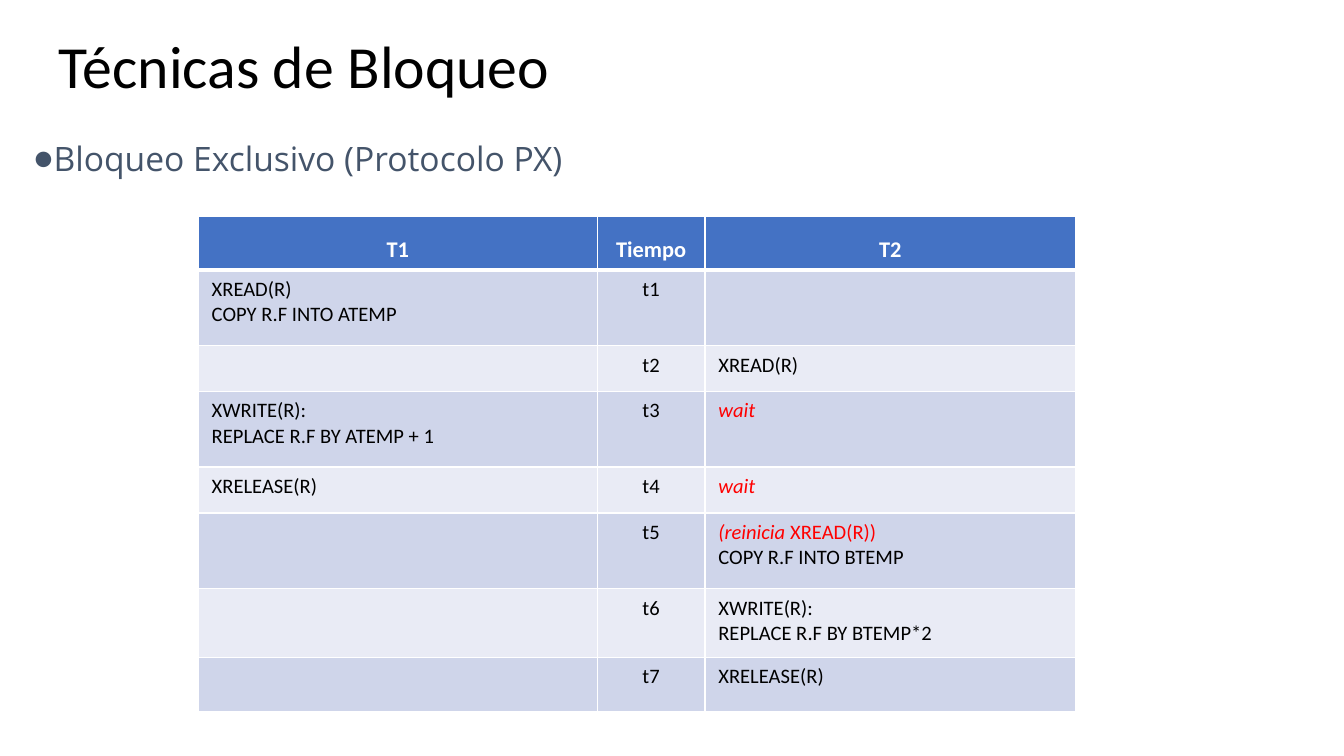
from lxml.etree import SubElement
from pptx import Presentation
from pptx.dml.color import RGBColor
from pptx.enum.text import MSO_ANCHOR, PP_ALIGN
from pptx.oxml.ns import qn
from pptx.util import Inches, Pt

COLORS = {
    "ink": "000000",
    "white": "FFFFFF",
    "slate": "44546A",
    "header": "4472C4",
    "band_dark": "CFD5EA",
    "band_light": "E9EBF5",
    "alert": "FF0000",
}
WIDTH = Inches(10)
HEIGHT = WIDTH * 9 // 16
COLUMNS = [2.97, 0.8, 2.76]
ROWS = [0.33, 0.56, 0.34, 0.56, 0.34, 0.56, 0.51, 0.4]
HEADINGS = ["T1", "Tiempo", "T2"]
WAIT = [("wait", True)]
RETRY = [("(reinicia ", True), ("XREAD(R))", False)]
STEPS = [
    (["XREAD(R)", "COPY R.F INTO ATEMP"], []),
    ([], ["XREAD(R)"]),
    (["XWRITE(R):", "REPLACE R.F BY ATEMP + 1"], [WAIT]),
    (["XRELEASE(R)"], [WAIT]),
    ([], [RETRY, "COPY R.F INTO BTEMP"]),
    ([], ["XWRITE(R):", "REPLACE R.F BY BTEMP*2"]),
    ([], ["XRELEASE(R)"]),
]


def color(name):
    """Return a named colour of the deck."""
    return RGBColor.from_string(COLORS[name])


def place(left, top, width, height):
    """Turn percentages of the slide into a box of lengths."""
    return (int(left * WIDTH / 100), int(top * HEIGHT / 100),
            int(width * WIDTH / 100), int(height * HEIGHT / 100))


def style(para, size, ink, face="Calibri", bold=False):
    """Set the font shared by every run of a paragraph."""
    para.font.name = face
    para.font.size = Pt(size)
    para.font.bold = bold
    para.font.color.rgb = color(ink)


def add_text(page, area, anchor):
    """Add a wrapping text box and return its first paragraph."""
    frame = page.shapes.add_textbox(*area).text_frame
    frame.word_wrap = True
    frame.vertical_anchor = anchor
    frame.margin_left = frame.margin_right = Inches(0.1)
    frame.margin_top = frame.margin_bottom = Inches(0.1)
    return frame.paragraphs[0]


def add_title(page, area):
    """Write the slide title."""
    para = add_text(page, area, MSO_ANCHOR.MIDDLE)
    para.text = "Técnicas de Bloqueo"
    para.line_spacing = 0.9
    style(para, 32, "ink")


def add_subtitle(page, area):
    """Write the bulleted topic line."""
    para = add_text(page, area, MSO_ANCHOR.TOP)
    para.text = "Bloqueo Exclusivo (Protocolo PX)"
    para.line_spacing = 1.5
    props = para._p.get_or_add_pPr()
    props.set("marL", str(Inches(0.04)))
    props.set("indent", str(Inches(-0.28)))
    tint = SubElement(props, qn("a:buClr"))
    SubElement(tint, qn("a:srgbClr"), val=COLORS["slate"])
    SubElement(props, qn("a:buFont"), typeface="Calibri")
    SubElement(props, qn("a:buChar"), char="●")
    style(para, 18, "slate", "Open Sans")


def paint_cell(cell, fill, bottom=1, top=1):
    """Give a cell its white borders and its fill."""
    props = cell._tc.get_or_add_tcPr()
    for side, weight in zip("LRTB", (1, 1, top, bottom)):
        line = SubElement(props, qn(f"a:ln{side}"), w=str(Pt(weight)))
        solid = SubElement(line, qn("a:solidFill"))
        SubElement(solid, qn("a:srgbClr"), val=COLORS["white"])
    cell.fill.solid()
    cell.fill.fore_color.rgb = color(fill)


def write_cell(cell, lines, align=PP_ALIGN.LEFT):
    """Write lines into a body cell, with marked spans in the alert colour."""
    frame = cell.text_frame
    for index, line in enumerate(lines):
        para = frame.add_paragraph() if index else frame.paragraphs[0]
        para.alignment = align
        plain = isinstance(line, str)
        for text, italic in [(line, False)] if plain else line:
            span = para.add_run()
            span.text = text
            span.font.italic = italic
        style(para, 11, "ink" if plain else "alert")
    if not lines:
        SubElement(frame.paragraphs[0]._p, qn("a:endParaRPr"), sz="1100")


def add_schedule(page, area):
    """Build the timeline table of both transactions."""
    table = page.shapes.add_table(len(ROWS), len(COLUMNS), *area).table
    for column, share in zip(table.columns, COLUMNS):
        column.width = int(area[2] * share / sum(COLUMNS))
    for row, share in zip(table.rows, ROWS):
        row.height = int(area[3] * share / sum(ROWS))
    for cell, heading in zip(table.rows[0].cells, HEADINGS):
        paint_cell(cell, "header", bottom=3)
        para = cell.text_frame.paragraphs[0]
        para.text = heading
        para.alignment = PP_ALIGN.CENTER
        para.line_spacing = 1.5
        style(para, 12, "white", bold=True)
    for number, (first, second) in enumerate(STEPS, 1):
        cells = table.rows[number].cells
        for cell in cells:
            paint_cell(cell, "band_dark" if number % 2 else "band_light",
                       top=3 if number == 1 else 1)
        write_cell(cells[0], first)
        write_cell(cells[1], [f"t{number}"], PP_ALIGN.CENTER)
        write_cell(cells[2], second)


def main():
    """Build and save the deck."""
    deck = Presentation()
    deck.slide_width, deck.slide_height = WIDTH, HEIGHT
    page = deck.slides.add_slide(deck.slide_layouts[6])
    add_title(page, place(3.4, 3.1, 93.2, 12.2))
    add_subtitle(page, place(1.5, 13.75, 93.2, 14.8))
    add_schedule(page, place(14.75, 28.6, 65.3, 64.3))
    deck.save("out.pptx")


if __name__ == "__main__":
    main()
